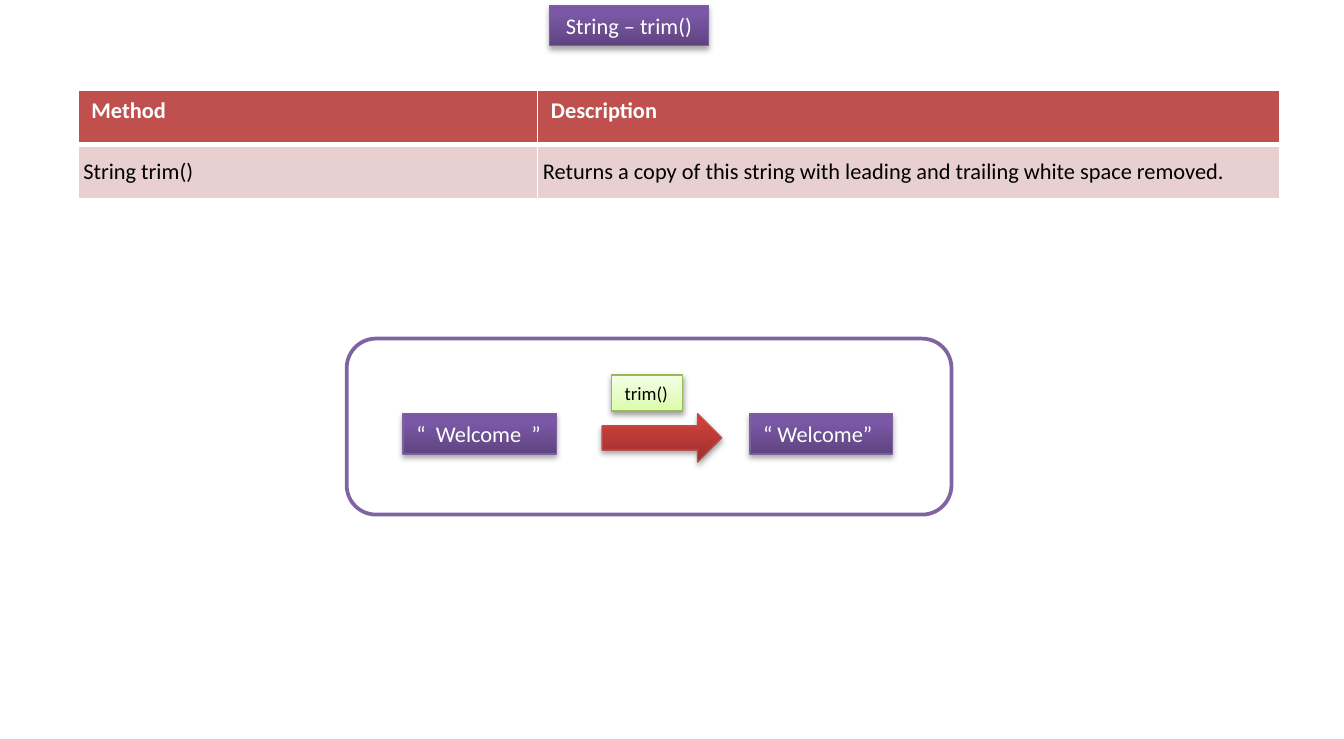
from dataclasses import dataclass
from pptx import Presentation
from pptx.dml.color import RGBColor
from pptx.enum.shapes import MSO_SHAPE
from pptx.enum.text import MSO_ANCHOR, PP_ALIGN
from pptx.oxml import parse_xml
from pptx.oxml.ns import nsdecls
from pptx.util import Inches, Pt

COLS, ROWS = 100, 55  # slide grid
CELL = Inches(10) // COLS


@dataclass(frozen=True)
class Style:
    stops: tuple  # (percent, colour), from bottom to top
    line: str
    text: str = "FFFFFF"
    shade: int = 35


class Theme:
    font = "Calibri"
    body, small = 12, 10
    white, black = "FFFFFF", "000000"
    frame = "8064A2"
    header, row = "C0504D", "E8D0D0"
    purple = Style(((0, "5F4480"), (80, "7B58A6"), (100, "7C57A8")), "7D60A0")
    red = Style(((0, "9C2F2D"), (80, "CB3E3A"), (100, "CE3B37")), "BF4C48")
    green = Style(((0, "DAFDA7"), (35, "E4FCC2"), (100, "F5FFE7")), "98B955",
                  black, 38)


@dataclass(frozen=True)
class Box:
    """An area in grid units."""
    x: float
    y: float
    w: float
    h: float

    def inner(self, x, y, w, h):
        return Box(self.x + x, self.y + y, w, h)

    def emu(self):
        return [round(v * CELL) for v in (self.x, self.y, self.w, self.h)]


def rgb(value):
    return RGBColor.from_string(value)


def set_font(p, size, color, bold=False):
    p.font.name, p.font.size, p.font.bold = Theme.font, Pt(size), bold
    p.font.color.rgb = rgb(color)


def add_block(slide, box, style, text="", size=Theme.body,
              kind=MSO_SHAPE.RECTANGLE, align=PP_ALIGN.LEFT, wrap=False):
    """Shape with a vertical gradient and a soft shadow below."""
    sp = slide.shapes.add_shape(kind, *box.emu())
    sp.line.color.rgb, sp.line.width = rgb(style.line), Pt(0.75)

    # Gradient fill
    stops = "".join(f'<a:gs pos="{pos * 1000}"><a:srgbClr val="{color}"/></a:gs>'
                    for pos, color in style.stops)
    sp.fill.background()
    spPr = sp._element.spPr
    no_fill = spPr.find("{*}noFill")
    spPr.replace(no_fill, parse_xml(
        f'<a:gradFill {nsdecls("a")} rotWithShape="1"><a:gsLst>{stops}</a:gsLst>'
        '<a:lin ang="16200000" scaled="0"/></a:gradFill>'))

    # Shadow
    sp.shadow.inherit = False
    spPr.find("{*}effectLst").append(parse_xml(
        f'<a:outerShdw {nsdecls("a")} blurRad="{Pt(3.1)}" dist="{Pt(1.8)}" '
        'dir="5400000" rotWithShape="0"><a:srgbClr val="000000">'
        f'<a:alpha val="{style.shade * 1000}"/></a:srgbClr></a:outerShdw>'))

    if text:
        tf = sp.text_frame
        tf.word_wrap, tf.vertical_anchor = wrap, MSO_ANCHOR.TOP
        p = tf.paragraphs[0]
        p.text, p.alignment = text, align
        set_font(p, size, style.text)
    return sp


def set_borders(cell, **widths):
    tcPr = cell._tc.get_or_add_tcPr()
    for i, side in enumerate("LRTB"):
        tcPr.insert(i, parse_xml(
            f'<a:ln{side} {nsdecls("a")} w="{Pt(widths.get(side, 1))}"><a:solidFill>'
            f'<a:srgbClr val="{Theme.white}"/></a:solidFill></a:ln{side}>'))


def add_title(slide, box):
    add_block(slide, box, Theme.purple, "String – trim()",
              align=PP_ALIGN.CENTER, wrap=True)


def add_method_table(slide, box):
    rows = (("Method", "Description"),
            ("String trim()", "Returns a copy of this string with leading and "
                              "trailing white space removed."))
    table = slide.shapes.add_table(2, 2, *box.emu()).table
    for col, width in zip(table.columns, (34.2, box.w - 34.2)):
        col.width = round(width * CELL)
    for i, texts in enumerate(rows):
        for j, text in enumerate(texts):
            cell = table.cell(i, j)
            p = cell.text_frame.paragraphs[0]
            p.text = text
            cell.fill.solid()
            if i == 0:
                cell.fill.fore_color.rgb = rgb(Theme.header)
                set_font(p, Theme.body, Theme.white, bold=True)
                set_borders(cell, B=3)
            else:
                cell.fill.fore_color.rgb = rgb(Theme.row)
                set_font(p, Theme.body, Theme.black)
                cell.vertical_anchor = MSO_ANCHOR.MIDDLE
                cell.margin_left = cell.margin_right = Inches(0.04)
                cell.margin_top = cell.margin_bottom = Inches(0.04)
                set_borders(cell, T=3)


def add_trim_diagram(slide, box):
    # Frame
    sp = slide.shapes.add_shape(MSO_SHAPE.ROUNDED_RECTANGLE, *box.emu())
    sp.shadow.inherit = False
    sp.fill.solid()
    sp.fill.fore_color.rgb = rgb(Theme.white)
    sp.line.color.rgb, sp.line.width = rgb(Theme.frame), Pt(2)

    # String before, arrow, string after, method label
    mid = 5.6
    add_block(slide, box.inner(4.2, mid, 11.4, 3), Theme.purple, "“  Welcome  ”")
    add_block(slide, box.inner(19, mid, 8.9, 3.6), Theme.red,
              kind=MSO_SHAPE.RIGHT_ARROW)
    add_block(slide, box.inner(30, mid, 10.6, 3), Theme.purple, "“ Welcome”")
    add_block(slide, box.inner(19.7, 2.7, 5.3, 2.7), Theme.green, "trim()",
              Theme.small)


def main():
    prs = Presentation()
    prs.slide_width, prs.slide_height = COLS * CELL, ROWS * CELL
    slide = prs.slides.add_slide(prs.slide_layouts[6])
    add_trim_diagram(slide, Box(25.8, 25.2, 45, 13.1))
    add_title(slide, Box(40.9, 0.4, 11.8, 3))
    add_method_table(slide, Box(5.8, 6.7, 89.4, 8.1))
    prs.save("out.pptx")


if __name__ == "__main__":
    main()
